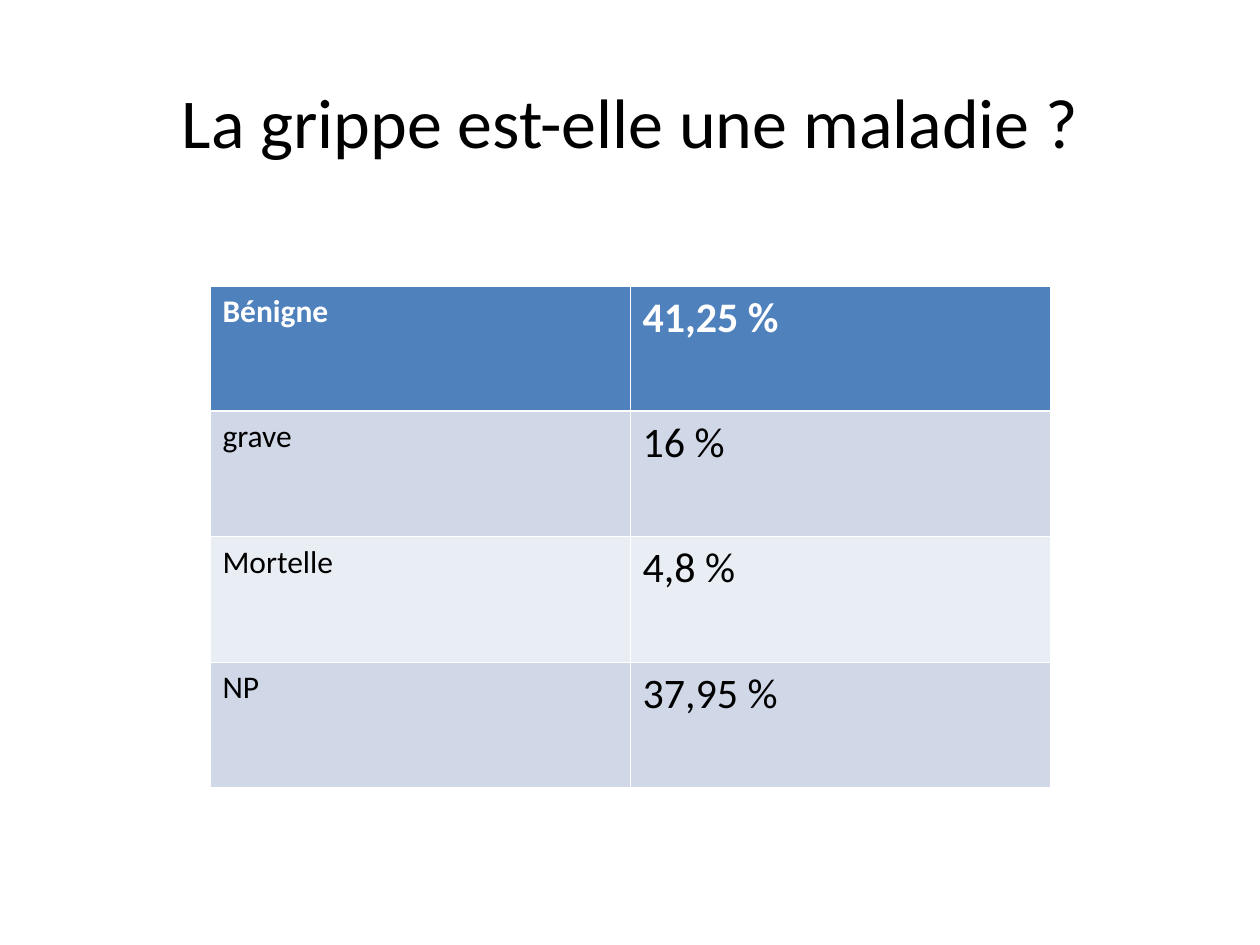
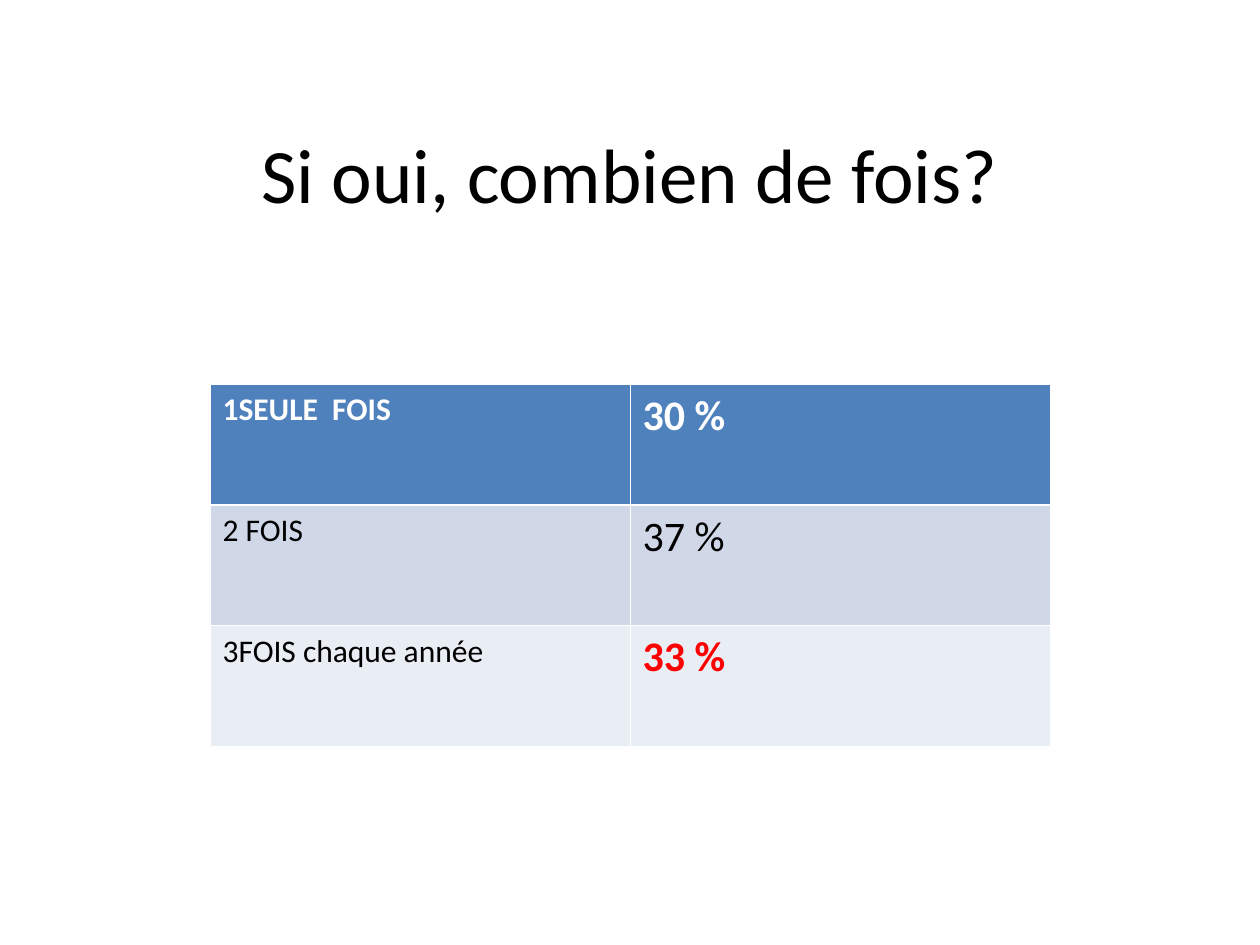
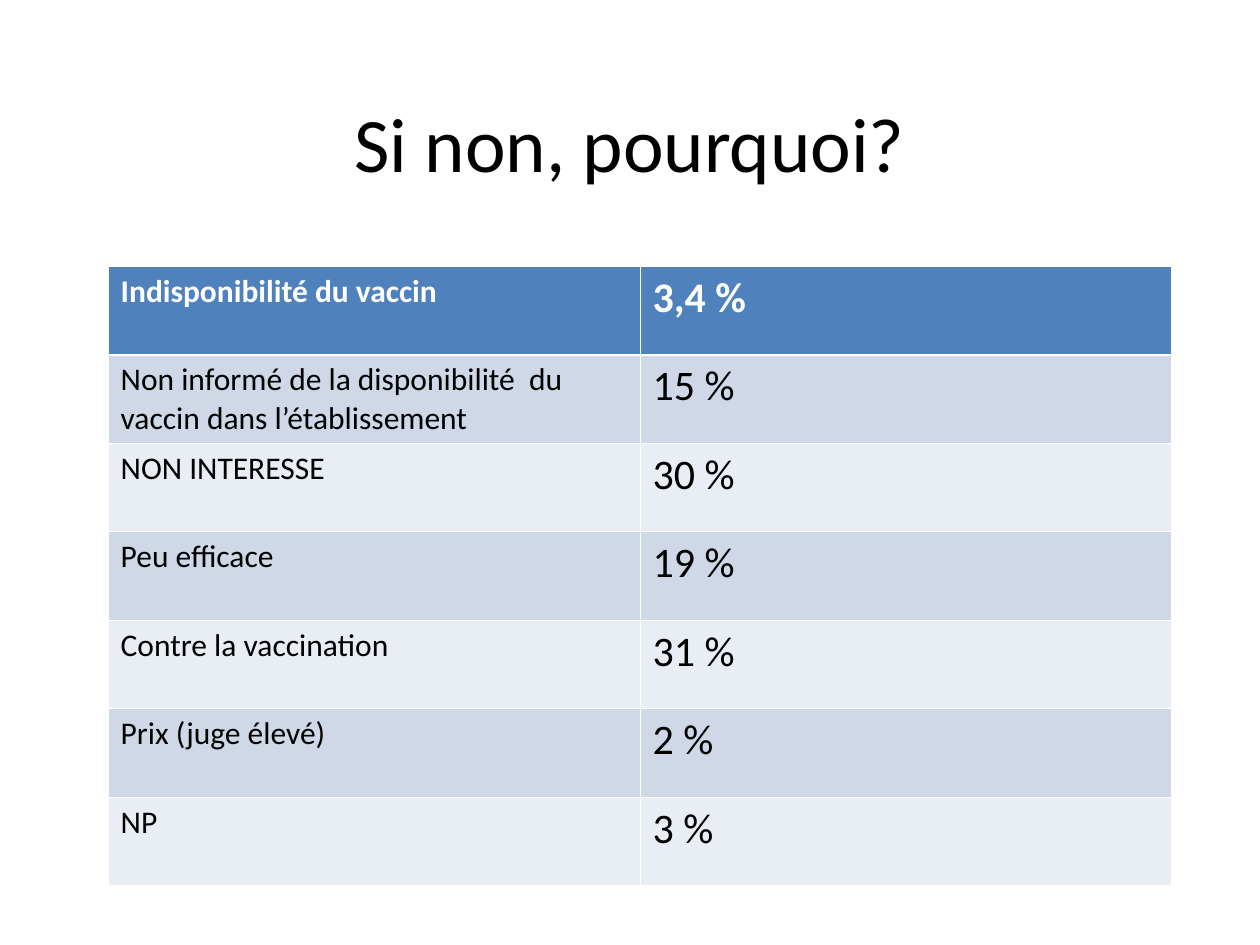
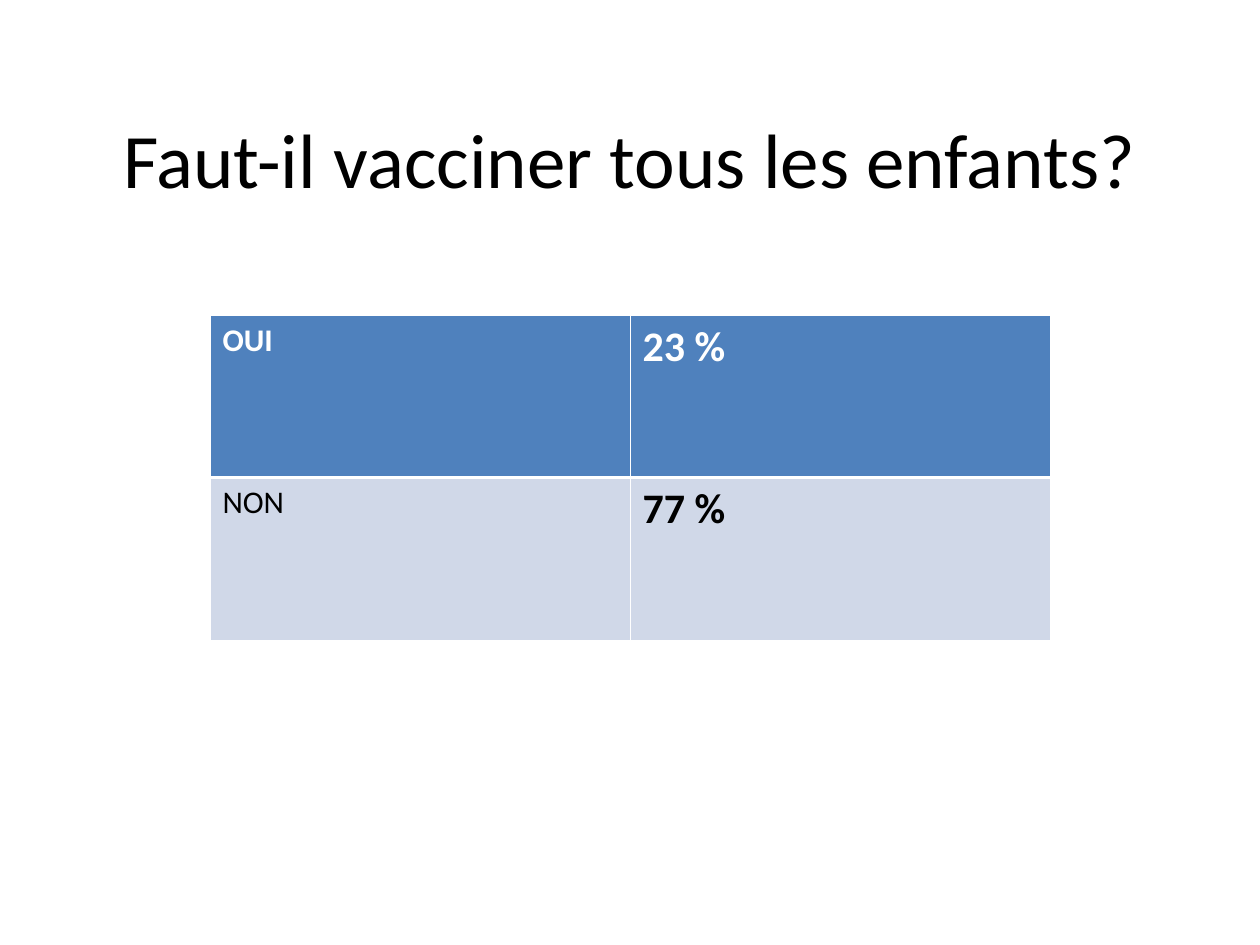
from collections import namedtuple

from lxml.etree import SubElement
from pptx import Presentation
from pptx.dml.color import RGBColor
from pptx.enum.text import MSO_ANCHOR as ANCHOR, PP_ALIGN as ALIGN
from pptx.oxml.ns import qn
from pptx.util import Inches, Pt

BLACK = RGBColor(0x00, 0x00, 0x00)
WHITE = RGBColor(0xFF, 0xFF, 0xFF)
RED = RGBColor(0xFF, 0x00, 0x00)
HEADER_BLUE = RGBColor(0x4F, 0x81, 0xBD)
BANDS = (RGBColor(0xD0, 0xD8, 0xE8), RGBColor(0xE9, 0xED, 0xF4))

FONT = "Calibri"
LABEL_SIZE, VALUE_SIZE = 18, 24
THIN, THICK = 0.45, 1.47

# The slide is a grid of 12 columns by 12 rows; boxes are in grid units.
SLIDE_W, SLIDE_H = Inches(10), Inches(7.5)
COL, ROW = SLIDE_W / 12, SLIDE_H / 12

Box = namedtuple("Box", "x y w h")
# emphasis maps a row number to the colour of its bold value
Survey = namedtuple("Survey", "title title_box size anchor answers table_box emphasis")


def title_band(y, h):
    return Box(0.9, y, 10.2, h)


def answer_area(y, h):
    return Box(2, y, 8, h)


SURVEYS = [
    Survey("La grippe est-elle une maladie ?", title_band(1, 2), 40, ANCHOR.TOP,
           [("Bénigne", "41,25 %"), ("grave", "16 %"),
            ("Mortelle", "4,8 %"), ("NP", "37,95 %")],
           answer_area(3.63, 6.37), {}),
    Survey("Si oui, combien de fois?", title_band(0.75, 2.88), 44, ANCHOR.MIDDLE,
           [("1SEULE  FOIS", "30 %"), ("2 FOIS", "37 %"),
            ("3FOIS chaque année", "33 %")],
           answer_area(4.88, 4.6), {2: RED}),
    Survey("Si non, pourquoi?", title_band(0.62, 2.37), 44, ANCHOR.MIDDLE,
           [("Indisponibilité du vaccin", "3,4 %"),
            ("Non informé de la disponibilité  du vaccin dans l’établissement", "15 %"),
            ("NON INTERESSE", "30 %"), ("Peu efficace", "19 %"),
            ("Contre la vaccination", "31 %"), ("Prix (juge élevé)", "2 %"),
            ("NP", "3 %")],
           Box(1.03, 3.38, 10.13, 7.87), {}),
    Survey("Faut-il vacciner tous les enfants?", title_band(0.5, 3), 44, ANCHOR.MIDDLE,
           [("OUI", "23 %"), ("NON", "77 %")],
           answer_area(4, 4.13), {1: BLACK}),
]


def place(box):
    """Turn a box in grid units into left, top, width and height."""
    return [int(n) for n in (box.x * COL, box.y * ROW, box.w * COL, box.h * ROW)]


def format_text(p, size, color, bold=False):
    for r in p.runs:
        r.font.name = FONT
        r.font.size = Pt(size)
        r.font.bold = bold
        r.font.color.rgb = color


def add_title(s, box, text, size, anchor):
    tf = s.shapes.add_textbox(*place(box)).text_frame
    tf.word_wrap = True
    tf.vertical_anchor = anchor
    if anchor == ANCHOR.TOP:
        tf.margin_top = 0
    tf.text = text
    p = tf.paragraphs[0]
    p.alignment = ALIGN.CENTER
    format_text(p, size, BLACK)


def set_borders(cell, top, bottom):
    """Draw white borders; they must come before the fill in the cell's XML."""
    tc_pr = cell._tc.get_or_add_tcPr()
    for side, width in (("L", THIN), ("R", THIN), ("T", top), ("B", bottom)):
        ln = SubElement(tc_pr, qn(f"a:ln{side}"), w=str(Pt(width)))
        fill = SubElement(ln, qn("a:solidFill"))
        SubElement(fill, qn("a:srgbClr"), val=str(WHITE))


def add_answers(s, box, answers, emphasis):
    left, top, width, height = place(box)
    table = s.shapes.add_table(len(answers), 2, left, top, width, height).table
    for row, answer in enumerate(answers):
        header = row == 0
        for col, (text, size) in enumerate(zip(answer, (LABEL_SIZE, VALUE_SIZE))):
            cell = table.cell(row, col)
            set_borders(cell, THICK if row == 1 else THIN, THICK if header else THIN)
            cell.fill.solid()
            cell.fill.fore_color.rgb = HEADER_BLUE if header else BANDS[(row - 1) % 2]
            cell.text_frame.text = text
            strong = col == 1 and row in emphasis
            color = emphasis[row] if strong else WHITE if header else BLACK
            format_text(cell.text_frame.paragraphs[0], size, color, header or strong)


def add_survey_slide(prs, survey):
    s = prs.slides.add_slide(prs.slide_layouts[6])
    add_title(s, survey.title_box, survey.title, survey.size, survey.anchor)
    add_answers(s, survey.table_box, survey.answers, survey.emphasis)


def main():
    prs = Presentation()
    prs.slide_width, prs.slide_height = SLIDE_W, SLIDE_H
    for survey in SURVEYS:
        add_survey_slide(prs, survey)
    prs.save("out.pptx")


if __name__ == "__main__":
    main()
